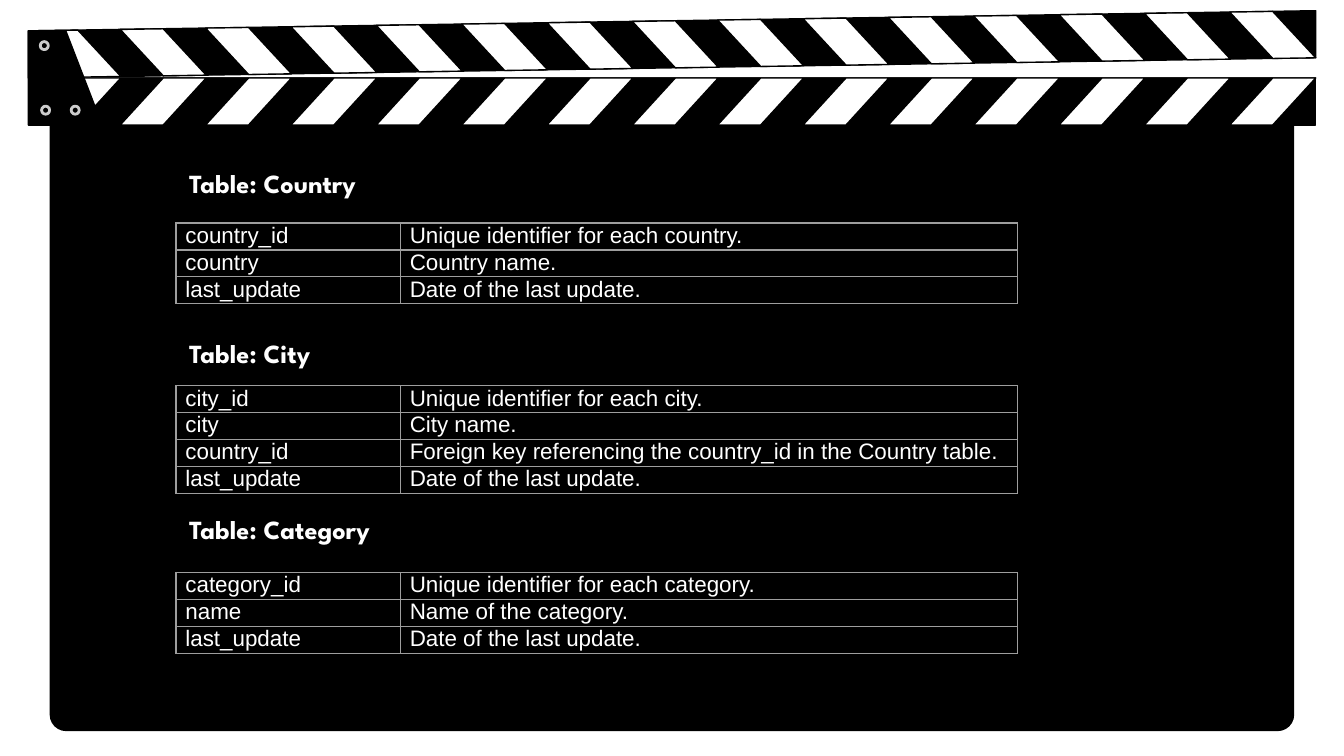
"""Build a clapperboard slide that documents three database tables."""
from dataclasses import dataclass

from lxml.etree import SubElement
from pptx import Presentation
from pptx.dml.color import RGBColor
from pptx.enum.shapes import MSO_CONNECTOR, MSO_SHAPE
from pptx.enum.text import MSO_AUTO_SIZE, PP_ALIGN
from pptx.oxml.ns import qn
from pptx.util import Inches, Pt

BLACK = RGBColor(0x00, 0x00, 0x00)
WHITE = RGBColor(0xFF, 0xFF, 0xFF)
RIVET_GREY = RGBColor(0xCC, 0xCC, 0xCC)
BORDER_GREY = RGBColor(0x9E, 0x9E, 0x9E)
SEAM_GREY = RGBColor(0x17, 0x17, 0x17)

SLIDE_WIDTH = 10
SLIDE_HEIGHT = SLIDE_WIDTH * 9 / 16
LEFT, RIGHT = 0.21, 9.79
SEAM, BAR_BOTTOM = 0.58, 0.93
HINGE_TOP, BAR_HEIGHT = 0.23, 0.35
STICK_RISE = 0.15
STRIPE_COUNT, STRIPE_WIDTH = 15, 0.32
FIRST_STRIPE, LAST_STRIPE = 0.26, 9.15
RIVET_SIZE = 0.06
TABLE_LEFT, COLUMN_WIDTHS, ROW_HEIGHT = 1.31, (1.67, 4.59), 0.2

Point = tuple[float, float]


@dataclass
class TableDoc:
    """A documented table: its name, positions and described fields."""
    name: str
    heading_top: float
    grid_top: float
    fields: list[tuple[str, str]]


LAST_UPDATE = ("last_update", "Date of the last update.")
TABLE_DOCS = [
    TableDoc("Category", 3.77, 4.26, [
        ("category_id", "Unique identifier for each category."),
        ("name", "Name of the category."),
        LAST_UPDATE,
    ]),
    TableDoc("City", 2.46, 2.87, [
        ("city_id", "Unique identifier for each city."),
        ("city", "City name."),
        ("country_id", "Foreign key referencing the country_id in the Country table."),
        LAST_UPDATE,
    ]),
    TableDoc("Country", 1.2, 1.66, [
        ("country_id", "Unique identifier for each country."),
        ("country", "Country name."),
        LAST_UPDATE,
    ]),
]


def paint(shape, fill: RGBColor, line: RGBColor, width: float) -> None:
    """Give a shape a solid fill and line and no shadow."""
    shape.shadow.inherit = False
    shape.fill.solid()
    shape.fill.fore_color.rgb = fill
    shape.line.color.rgb = line
    shape.line.width = Pt(width)


def add_polygon(shapes, points: list[Point], fill: RGBColor) -> None:
    """Draw a closed polygon with a thin black outline."""
    corners = [(Inches(x), Inches(y)) for x, y in points]
    builder = shapes.build_freeform(*corners[0])
    builder.add_line_segments(corners[1:], close=True)
    paint(builder.convert_to_shape(), fill, BLACK, 0.75)


def stick_top(x: float) -> float:
    """Return the height of the raised stick's upper edge at x."""
    return HINGE_TOP - STICK_RISE * (x - LEFT) / (RIGHT - LEFT)


def add_bars(shapes) -> None:
    """Draw the fixed bar and the raised stick with their stripes."""
    add_polygon(shapes, [(LEFT, SEAM), (LEFT, BAR_BOTTOM),
                         (RIGHT, BAR_BOTTOM), (RIGHT, SEAM)], BLACK)
    add_polygon(shapes, [(LEFT, stick_top(LEFT)), (RIGHT, stick_top(RIGHT)),
                         (RIGHT, stick_top(RIGHT) + BAR_HEIGHT),
                         (LEFT, stick_top(LEFT) + BAR_HEIGHT)], BLACK)
    step = (LAST_STRIPE - FIRST_STRIPE) / (STRIPE_COUNT - 1)
    for index in range(STRIPE_COUNT):
        start = FIRST_STRIPE + index * step
        middle, end = start + STRIPE_WIDTH, start + 2 * STRIPE_WIDTH
        add_polygon(shapes, [(middle, SEAM), (start, BAR_BOTTOM),
                             (middle, BAR_BOTTOM), (end, SEAM)], WHITE)
        add_polygon(shapes, [(start, stick_top(start)), (middle, stick_top(middle)),
                             (end, stick_top(end) + BAR_HEIGHT),
                             (middle, stick_top(middle) + BAR_HEIGHT)], WHITE)


def add_clapperboard(shapes) -> None:
    """Draw the board, the striped bars and the riveted hinge."""
    board = shapes.add_shape(MSO_SHAPE.ROUNDED_RECTANGLE, Inches(0.37),
                             Inches(0.72), Inches(9.26), Inches(4.72))
    board.adjustments[0] = 0.026
    paint(board, BLACK, BLACK, 0.75)
    board.line.fill.background()
    add_bars(shapes)

    seam = shapes.add_connector(MSO_CONNECTOR.STRAIGHT, Inches(LEFT), Inches(SEAM),
                                Inches(RIGHT), Inches(SEAM))
    seam.line.color.rgb = SEAM_GREY
    seam.line.width = Pt(0.48)
    SubElement(seam._element.spPr, qn("a:effectLst"))

    add_polygon(shapes, [(LEFT, HINGE_TOP), (LEFT, BAR_BOTTOM),
                         (0.76, BAR_BOTTOM), (0.49, HINGE_TOP)], BLACK)
    for x, y in ((0.3, 0.31), (0.31, 0.79), (0.53, 0.79)):
        rivet = shapes.add_shape(MSO_SHAPE.OVAL, Inches(x), Inches(y),
                                 Inches(RIVET_SIZE), Inches(RIVET_SIZE))
        paint(rivet, BLACK, RIVET_GREY, 1.5)


def add_run(paragraph, text: str, font: str, size: float, bold: bool = False) -> None:
    """Append a white run to a paragraph."""
    run = paragraph.add_run()
    run.text = text
    run.font.name = font
    run.font.size = Pt(size)
    run.font.bold = bold
    run.font.color.rgb = WHITE


def fill_cell(cell, text: str) -> None:
    """Write a field text into a bordered, unfilled cell."""
    cell.margin_left = cell.margin_right = Inches(0.07)
    cell.margin_top = cell.margin_bottom = Inches(0)
    paragraph = cell.text_frame.paragraphs[0]
    paragraph.alignment = PP_ALIGN.JUSTIFY
    paragraph.line_spacing = 1.0
    paragraph.space_after = Pt(8)
    add_run(paragraph, text, "Arial", 12)
    properties = cell._tc.get_or_add_tcPr()
    for side in ("lnL", "lnR", "lnT", "lnB"):
        border = SubElement(properties, qn(f"a:{side}"), w=str(Pt(0.75)))
        color = SubElement(border, qn("a:solidFill"))
        SubElement(color, qn("a:srgbClr"), val=str(BORDER_GREY))
    cell.fill.background()


def add_heading(shapes, doc: TableDoc) -> None:
    """Draw the heading of one documented table."""
    heading = shapes.add_textbox(Inches(TABLE_LEFT), Inches(doc.heading_top),
                                 Inches(5), Inches(0.34)).text_frame
    heading.word_wrap = True
    heading.auto_size = MSO_AUTO_SIZE.SHAPE_TO_FIT_TEXT
    add_run(heading.paragraphs[0], f"Table: {doc.name}", "League Spartan", 14, True)


def add_grid(shapes, doc: TableDoc) -> None:
    """Draw the field grid of one documented table."""
    grid = shapes.add_table(len(doc.fields), len(COLUMN_WIDTHS), Inches(TABLE_LEFT),
                            Inches(doc.grid_top), Inches(sum(COLUMN_WIDTHS)),
                            Inches(ROW_HEIGHT * len(doc.fields))).table
    grid.first_row = grid.horz_banding = False
    for column, width in zip(grid.columns, COLUMN_WIDTHS):
        column.width = Inches(width)
    for row, field in zip(grid.rows, doc.fields):
        for cell, text in zip(row.cells, field):
            fill_cell(cell, text)


def main() -> None:
    """Assemble and save the slide."""
    deck = Presentation()
    deck.slide_width, deck.slide_height = Inches(SLIDE_WIDTH), Inches(SLIDE_HEIGHT)
    slide = deck.slides.add_slide(deck.slide_layouts[6])
    add_clapperboard(slide.shapes)
    for doc in TABLE_DOCS:
        add_grid(slide.shapes, doc)
    for doc in TABLE_DOCS:
        add_heading(slide.shapes, doc)
    deck.save("out.pptx")


main()
